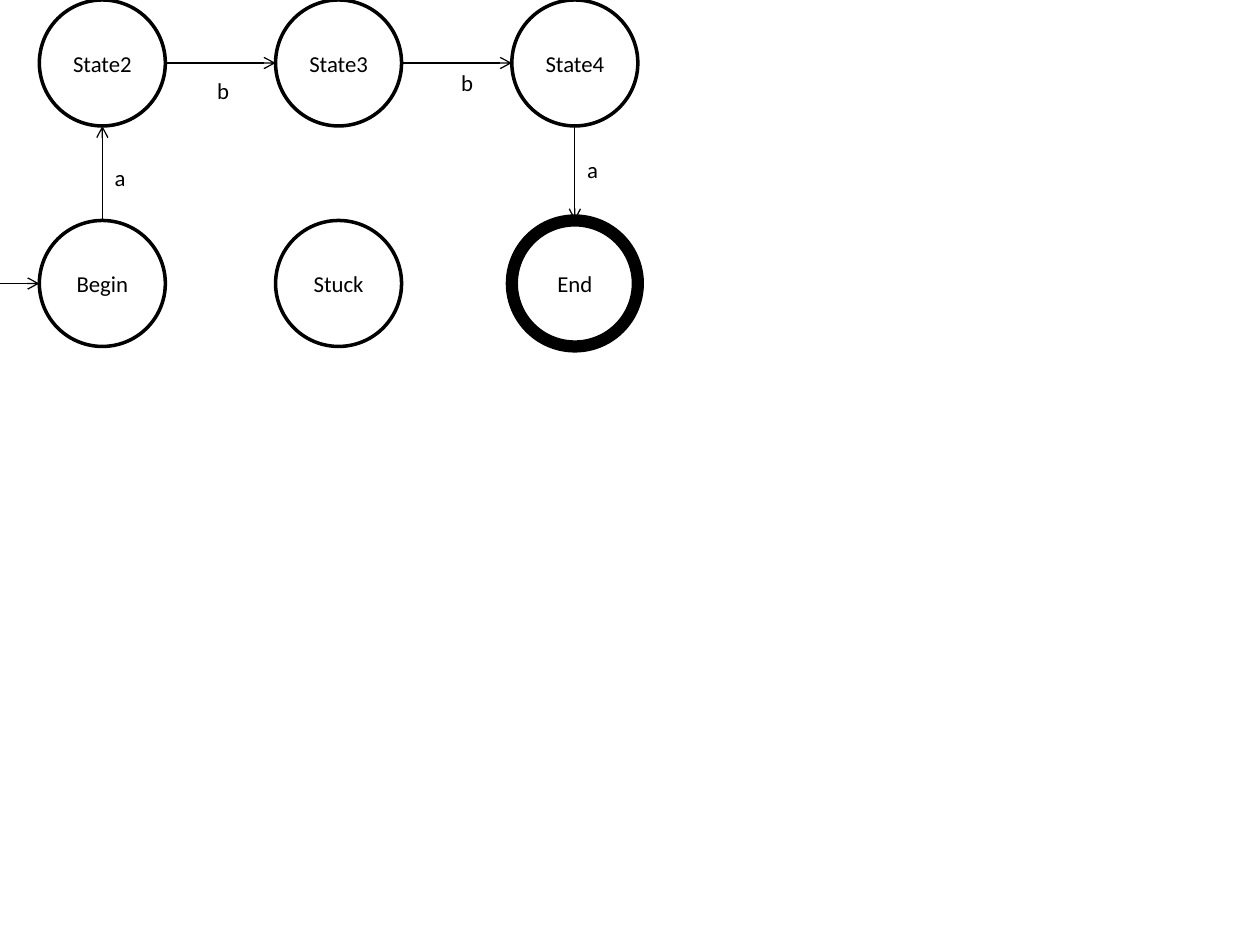
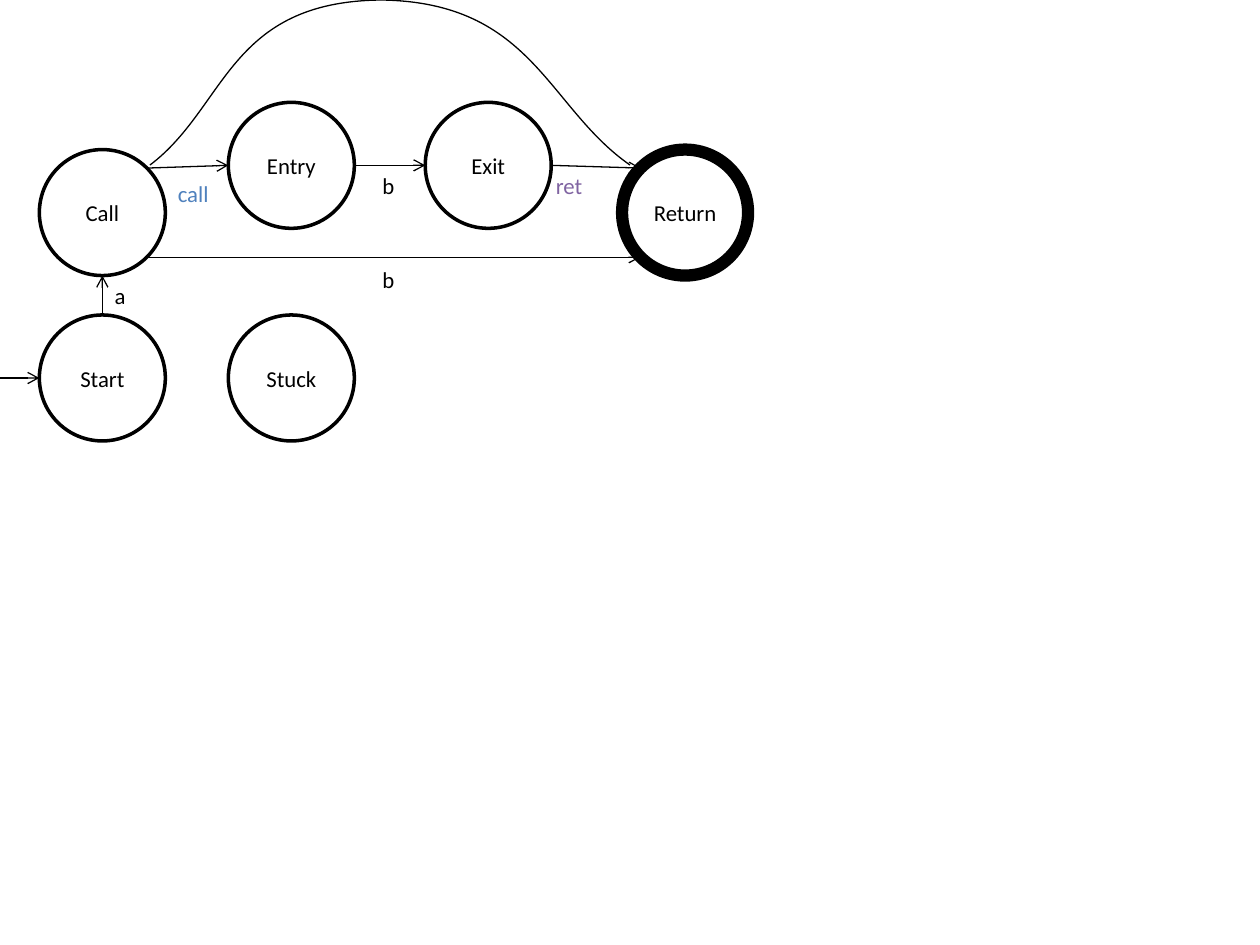
from dataclasses import dataclass
from math import sqrt
from lxml.etree import SubElement
from pptx import Presentation
from pptx.dml.color import RGBColor
from pptx.enum.shapes import MSO_CONNECTOR, MSO_SHAPE
from pptx.enum.text import MSO_ANCHOR, MSO_AUTO_SIZE, PP_ALIGN
from pptx.oxml.ns import qn
from pptx.shapes.shapetree import SlideShapes
from pptx.text.text import TextFrame
from pptx.util import Inches, Pt

Point = tuple[float, float]


@dataclass(frozen=True)
class Theme:
    font: str = "Calibri"
    size: float = 13
    ink: str = "000000"
    paper: str = "FFFFFF"
    call: str = "4F81BD"
    ret: str = "8064A2"
    thin: float = 0.75
    ring: float = 2
    final: float = 7


@dataclass(frozen=True)
class State:
    name: str
    col: int
    row: int
    final: bool = False

    def at(self, side: str) -> Point:
        dx, dy = SIDES[side]
        return self.col * GRID + RADIUS + dx, self.row * GRID + RADIUS + dy


@dataclass(frozen=True)
class Label:
    text: str
    col: int
    row: int
    width: float = 0.3
    color: str = Theme.ink


@dataclass(frozen=True)
class Arrow:
    start: Point
    end: Point


@dataclass(frozen=True)
class Graph:
    states: list[State]
    arrows: list[Arrow]
    labels: list[Label]
    curve: tuple[Point, ...] = ()


THEME = Theme()
GRID = 1 / 16
EDGE = 5
RADIUS = 0.5
DIAG = RADIUS / sqrt(2)
SIDES = {
    "top": (0, -RADIUS),
    "bottom": (0, RADIUS),
    "left": (-RADIUS, 0),
    "right": (RADIUS, 0),
    "top left": (-DIAG, -DIAG),
    "top right": (DIAG, -DIAG),
    "bottom left": (-DIAG, DIAG),
    "bottom right": (DIAG, DIAG),
}


def link(first: State, exit: str, second: State, entry: str) -> Arrow:
    return Arrow(first.at(exit), second.at(entry))


def enter(state: State) -> Arrow:
    x, y = state.at("left")
    return Arrow((0, y), (x, y))


def ink(text: str) -> RGBColor:
    return RGBColor.from_string(text)


def write(frame: TextFrame, text: str, color: str, align: PP_ALIGN) -> None:
    frame.text = text
    line = frame.paragraphs[0]
    line.alignment = align
    line.font.name = THEME.font
    line.font.size = Pt(THEME.size)
    line.font.color.rgb = ink(color)


def draw_state(shapes: SlideShapes, state: State) -> None:
    side = Inches(2 * RADIUS)
    shape = shapes.add_shape(MSO_SHAPE.FLOWCHART_CONNECTOR, Inches(state.col * GRID),
                             Inches(state.row * GRID), side, side)
    shape.shadow.inherit = False
    shape.fill.solid()
    shape.fill.fore_color.rgb = ink(THEME.paper)
    shape.line.color.rgb = ink(THEME.ink)
    shape.line.width = Pt(THEME.final if state.final else THEME.ring)
    frame = shape.text_frame
    frame.margin_left = frame.margin_right = 0
    frame.vertical_anchor = MSO_ANCHOR.MIDDLE
    write(frame, state.name, THEME.ink, PP_ALIGN.CENTER)


def draw_arrow(shapes: SlideShapes, arrow: Arrow) -> None:
    ends = [Inches(n) for n in (*arrow.start, *arrow.end)]
    line = shapes.add_connector(MSO_CONNECTOR.STRAIGHT, *ends)
    line.line.color.rgb = ink(THEME.ink)
    line.line.width = Pt(THEME.thin)
    SubElement(line.line._get_or_add_ln(), qn("a:tailEnd"), type="arrow")
    SubElement(line._element.spPr, qn("a:effectLst"))


def draw_label(shapes: SlideShapes, label: Label) -> None:
    box = shapes.add_textbox(Inches(label.col * GRID), Inches(label.row * GRID),
                             Inches(label.width), Inches(0.32))
    frame = box.text_frame
    frame.word_wrap = False
    frame.auto_size = MSO_AUTO_SIZE.SHAPE_TO_FIT_TEXT
    write(frame, label.text, label.color, PP_ALIGN.LEFT)


def draw_curve(shapes: SlideShapes, points: tuple[Point, ...]) -> None:
    first, *rest = [(Inches(x), Inches(y)) for x, y in points]
    pen = shapes.build_freeform(*first)
    pen.add_line_segments(rest, close=False)
    shape = pen.convert_to_shape()
    shape.shadow.inherit = False
    shape.fill.background()
    shape.line.color.rgb = ink(THEME.ink)
    shape.line.width = Pt(THEME.thin)
    lines = list(shape._element.iter(qn("a:lnTo")))
    trace = lines[0].getparent()
    for i in range(0, len(lines), 3):
        bend = SubElement(trace, qn("a:cubicBezTo"))
        for line in lines[i:i + 3]:
            bend.append(line[0])
            trace.remove(line)


def draw(deck: Presentation, graph: Graph) -> None:
    shapes = deck.slides.add_slide(deck.slide_layouts[6]).shapes
    for arrow in graph.arrows:
        draw_arrow(shapes, arrow)
    for state in graph.states:
        draw_state(shapes, state)
    if graph.curve:
        draw_curve(shapes, graph.curve)
    for label in graph.labels:
        draw_label(shapes, label)


def word_graph() -> Graph:
    cols = [EDGE + 30 * i for i in range(3)]
    two, three, four = [State(f"State{i + 2}", x, 0) for i, x in enumerate(cols)]
    begin, stuck, end = [State(name, x, 28, name == "End")
                         for name, x in zip(("Begin", "Stuck", "End"), cols)]
    return Graph(
        [begin, two, four, end, stuck, three],
        [enter(begin),
         link(begin, "top", two, "bottom"),
         link(two, "right", three, "left"),
         link(three, "right", four, "left"),
         link(four, "bottom", end, "top")],
        [Label("a", 13, 20), Label("b", 26, 9),
         Label("a", 73, 19), Label("b", 57, 8)],
    )


def call_graph() -> Graph:
    start = State("Start", EDGE, 40)
    call = State("Call", EDGE, 19)
    entry = State("Entry", 29, 13)
    leave = State("Exit", 54, 13)
    back = State("Return", 79, 19, True)
    stuck = State("Stuck", 29, 40)
    return Graph(
        [start, call, entry, leave, back, stuck],
        [enter(start),
         link(start, "top", call, "bottom"),
         link(call, "top right", entry, "left"),
         link(entry, "right", leave, "left"),
         link(leave, "right", back, "top left"),
         link(call, "bottom right", back, "bottom left")],
        [Label("a", 13, 35),
         Label("call", 21, 22, 0.45, THEME.call),
         Label("b", 47, 21),
         Label("ret", 69, 21, 0.41, THEME.ret),
         Label("b", 47, 33)],
        ((1.19, 1.31), (1.8, 0.85), (1.81, 0.01), (3.03, 0),
         (4.23, 0.02), (4.34, 0.85), (5, 1.31)),
    )


def main() -> None:
    deck = Presentation()
    deck.slide_width = Inches(10)
    deck.slide_height = Inches(7.5)
    for graph in (word_graph(), call_graph()):
        draw(deck, graph)
    deck.save("out.pptx")


main()
